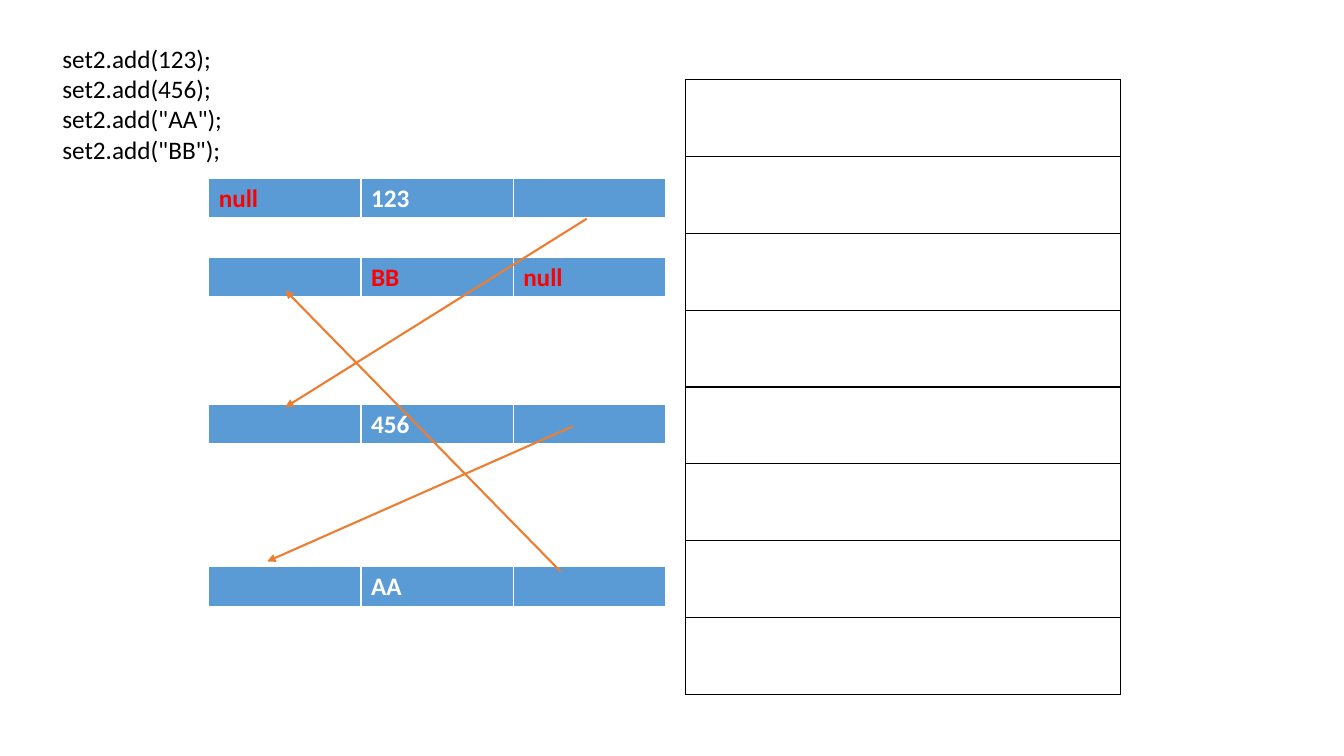
import pptx
import pptx.dml.color
import pptx.enum.shapes
import pptx.enum.text
import pptx.oxml
import pptx.oxml.ns
import pptx.util

Inches = pptx.util.Inches
Pt = pptx.util.Pt

CODE_LINES = ["set2.add(123);", "set2.add(456);", 'set2.add("AA");', 'set2.add("BB");']
RED, WHITE, BLACK, BLUE, ORANGE = "FF0000", "FFFFFF", "000000", "5B9BD5", "ED7D31"

# Each linked node: top, then (text, colour) for previous, value and next
NODES = [
    (1.77, [("null", RED), ("123", WHITE), ("", WHITE)]),
    (5.62, [("", WHITE), ("AA", WHITE), ("", WHITE)]),
    (4.01, [("", WHITE), ("456", WHITE), ("", WHITE)]),
    (2.55, [("", WHITE), ("BB", RED), ("null", RED)]),
]
NODE_LEFT, NODE_WIDTH, NODE_HEIGHT = 2.07, 4.53, 0.4
BUCKET_COUNT = 8
NODE_BORDERS = {"lnL": 1, "lnR": 1, "lnT": 1, "lnB": 3}
BUCKET_BORDERS = {"lnL": 1, "lnR": 1, "lnT": 1, "lnB": 1}

# Start and end of each link between nodes
LINKS = [
    ((5.68, 4.23), (2.65, 5.57)),
    ((5.56, 5.67), (2.83, 2.88)),
    ((5.82, 2.17), (2.83, 4.04)),
]


def rgb(value):
    return pptx.dml.color.RGBColor.from_string(value)


def format_run(run, color, bold=False):
    for name, value in {"name": "Calibri", "size": Pt(18), "bold": bold}.items():
        setattr(run.font, name, value)
    run.font.color.rgb = rgb(color)


def set_borders(cell, color, widths):
    """Put the border lines ahead of the fill, as the schema demands."""
    properties = cell._tc.get_or_add_tcPr()
    for position, (side, width) in enumerate(widths.items()):
        line = pptx.oxml.parse_xml(
            f'<a:{side} {pptx.oxml.ns.nsdecls("a")} w="{Pt(width)}">'
            f'<a:solidFill><a:srgbClr val="{color}"/></a:solidFill></a:{side}>'
        )
        properties.insert(position, line)


def add_grid(slide, box, rows, fill, border_color, border_widths):
    """Add a table of equal cells; each row is a list of (text, colour)."""
    frame = slide.shapes.add_table(len(rows), len(rows[0]), *map(Inches, box))
    table = frame.table
    table.first_row = table.horz_banding = False
    for row_index, row in enumerate(rows):
        for column_index, (text, color) in enumerate(row):
            cell = table.cell(row_index, column_index)
            if fill:
                cell.fill.solid()
                cell.fill.fore_color.rgb = rgb(fill)
            else:
                cell.fill.background()
            set_borders(cell, border_color, border_widths)
            if text:
                run = cell.text_frame.paragraphs[0].add_run()
                run.text = text
                format_run(run, color, bold=True)


def add_code(slide):
    box = slide.shapes.add_textbox(Inches(0.52), Inches(0.38), Inches(6.67), Inches(1.31))
    frame = box.text_frame
    frame.word_wrap = True
    frame.auto_size = pptx.enum.text.MSO_AUTO_SIZE.SHAPE_TO_FIT_TEXT
    frame.text = "\n".join(CODE_LINES)
    for paragraph in frame.paragraphs:
        format_run(paragraph.runs[0], BLACK)


def add_link(slide, start, end):
    connector = slide.shapes.add_connector(
        pptx.enum.shapes.MSO_CONNECTOR.STRAIGHT, *map(Inches, start + end)
    )
    connector.line.color.rgb = rgb(ORANGE)
    connector.line.width = Pt(1.5)
    namespace = pptx.oxml.ns.nsdecls("a")
    connector.line._get_or_add_ln().append(
        pptx.oxml.parse_xml(f'<a:tailEnd {namespace} type="triangle"/>')
    )
    connector._element.spPr.append(pptx.oxml.parse_xml(f"<a:effectLst {namespace}/>"))


def main():
    presentation = pptx.Presentation()
    presentation.slide_width = Inches(13.33)
    presentation.slide_height = Inches(7.5)
    slide = presentation.slides.add_slide(presentation.slide_layouts[6])

    buckets = [[("", BLACK)]] * BUCKET_COUNT
    add_grid(slide, (6.8, 0.79, 4.31, 6.1), buckets, None, BLACK, BUCKET_BORDERS)
    for top, cells in NODES:
        box = (NODE_LEFT, top, NODE_WIDTH, NODE_HEIGHT)
        add_grid(slide, box, [cells], BLUE, WHITE, NODE_BORDERS)
    add_code(slide)
    for start, end in LINKS:
        add_link(slide, start, end)

    presentation.save("out.pptx")


if __name__ == "__main__":
    main()
